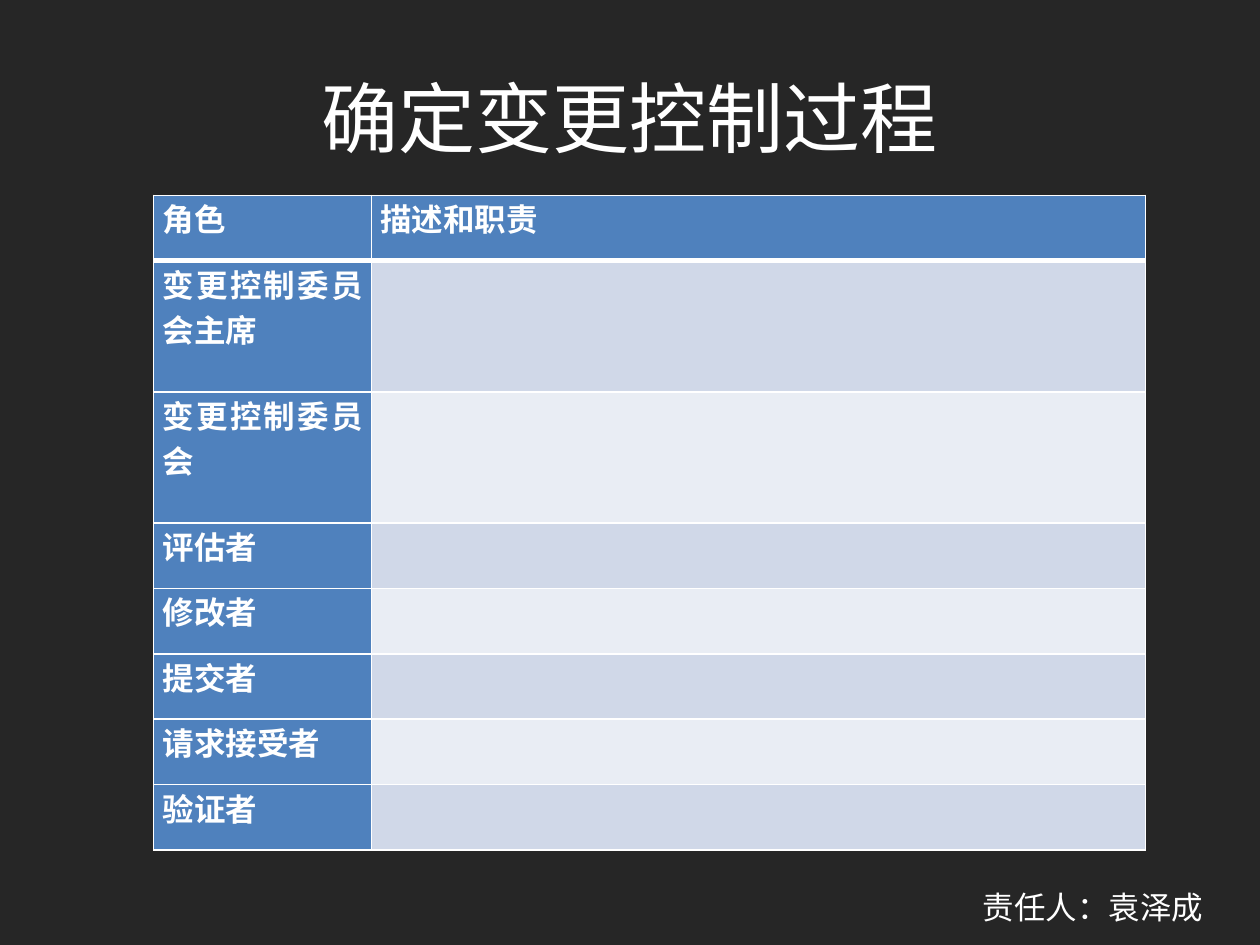
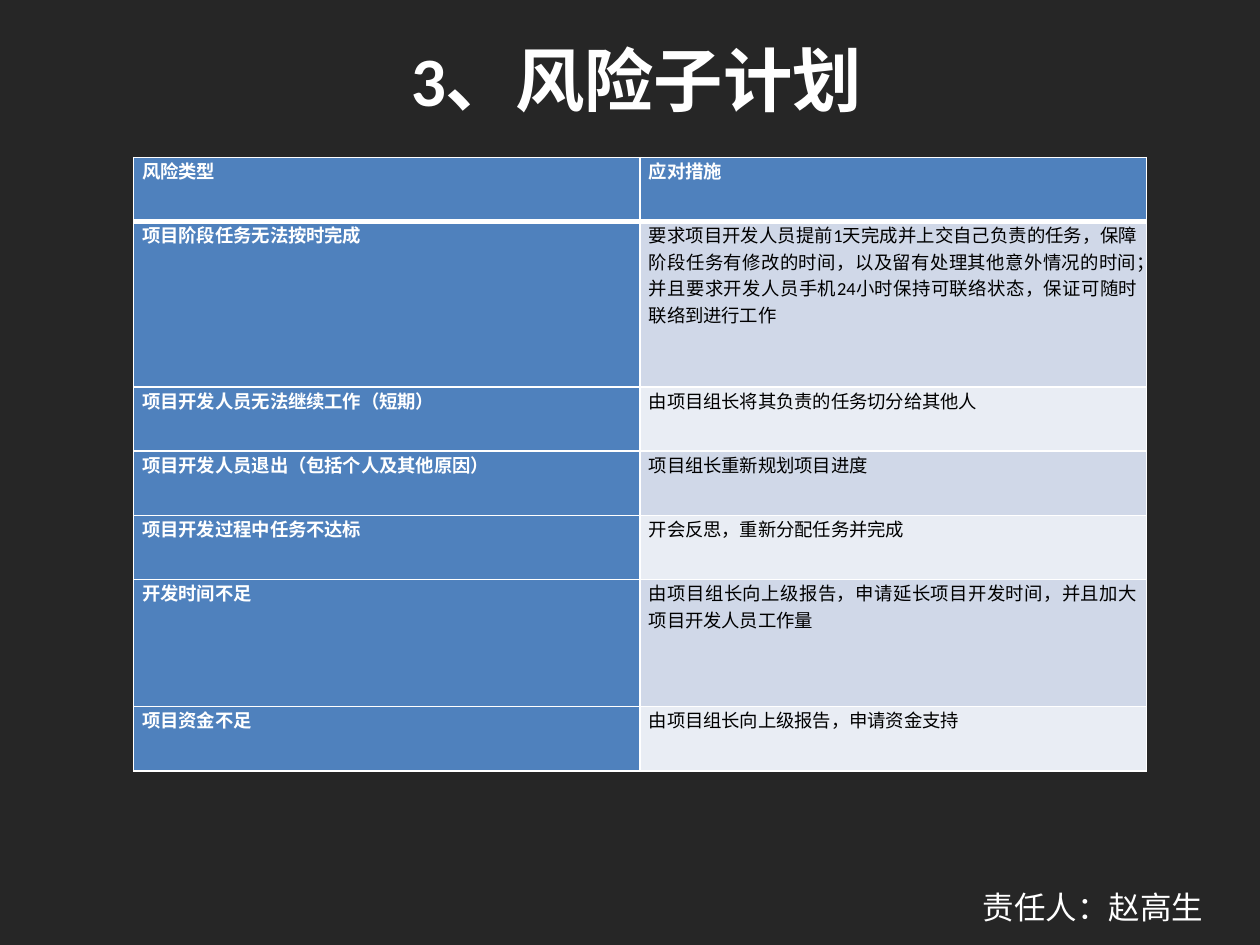
from dataclasses import dataclass

from lxml import etree
from pptx import Presentation
from pptx import util as u
from pptx.dml import color
from pptx.enum import text
from pptx.oxml import ns

FONT = "Calibri"
COLORS = {
    "background": "262626",
    "white": "FFFFFF",
    "black": "000000",
    "heading": "4F81BD",
    "odd_band": "D0D8E8",
    "even_band": "E9EDF4",
}
THIN, THICK = 1, 3


@dataclass(frozen=True)
class Title:
    wording: str
    left: float
    top: float
    size: float
    bold: bool = False


@dataclass(frozen=True)
class Grid:
    left: float
    top: float
    columns: tuple[float, ...]
    heights: tuple[float, ...]
    size: float
    rows: tuple[tuple[str, str], ...]


@dataclass(frozen=True)
class Page:
    title: Title
    grid: Grid
    owner: str


PAGES = (
    Page(
        Title("确定变更控制过程", 0.5, 0.3, 44),
        Grid(
            1.22, 1.55, (1.73, 6.14), (0.52, 1.04, 1.04) + (0.52,) * 5, 18,
            (
                ("角色", "描述和职责"),
                ("变更控制委员会主席", ""),
                ("变更控制委员会", ""),
                ("评估者", ""),
                ("修改者", ""),
                ("提交者", ""),
                ("请求接受者", ""),
                ("验证者", ""),
            ),
        ),
        "袁泽成",
    ),
    Page(
        Title("3、风险子计划", 0.55, 0, 39.6, bold=True),
        Grid(
            1.06, 1.25, (4.02, 4.02), (0.51, 1.31, 0.51, 0.51, 0.51, 1.01, 0.51), 10.5,
            (
                ("风险类型", "应对措施"),
                ("项目阶段任务无法按时完成",
                 "要求项目开发人员提前1天完成并上交自己负责的任务，保障阶段任务有修改的时间，"
                 "以及留有处理其他意外情况的时间；\n"
                 "并且要求开发人员手机24小时保持可联络状态，保证可随时联络到进行工作"),
                ("项目开发人员无法继续工作（短期）", "由项目组长将其负责的任务切分给其他人"),
                ("项目开发人员退出（包括个人及其他原因）", "项目组长重新规划项目进度"),
                ("项目开发过程中任务不达标", "开会反思，重新分配任务并完成"),
                ("开发时间不足",
                 "由项目组长向上级报告，申请延长项目开发时间，并且加大项目开发人员工作量"),
                ("项目资金不足", "由项目组长向上级报告，申请资金支持"),
            ),
        ),
        "赵高生",
    ),
)


def rgb(name: str) -> color.RGBColor:
    return color.RGBColor.from_string(COLORS[name])


def write(frame, wording: str, size: float, ink: str = "white",
          bold: bool = False, align=text.PP_ALIGN.LEFT) -> None:
    frame.text = wording
    for para in frame.paragraphs:
        para.alignment = align
        for span in para.runs:
            span.font.name = FONT
            span.font.size = u.Pt(size)
            span.font.bold = bold
            span.font.color.rgb = rgb(ink)


def add_box(slide, left: float, top: float, width: float, height: float):
    box = slide.shapes.add_textbox(*map(u.Inches, (left, top, width, height)))
    box.text_frame.word_wrap = True
    return box.text_frame


def add_title(slide, title: Title) -> None:
    frame = add_box(slide, title.left, title.top, 9, 1.25)
    frame.vertical_anchor = text.MSO_ANCHOR.MIDDLE
    write(frame, title.wording, title.size, bold=title.bold, align=text.PP_ALIGN.CENTER)


def set_borders(cell, top: float, bottom: float) -> None:
    """Draw white cell edges; must run before the cell is filled."""
    properties = cell._tc.get_or_add_tcPr()
    for side, width in (("L", THIN), ("R", THIN), ("T", top), ("B", bottom)):
        line = etree.SubElement(properties, ns.qn(f"a:ln{side}"), w=str(u.Pt(width)))
        fill = etree.SubElement(line, ns.qn("a:solidFill"))
        etree.SubElement(fill, ns.qn("a:srgbClr"), val=COLORS["white"])


def style_cell(cell, row: int, column: int, wording: str, size: float) -> None:
    is_heading = row == 0 or column == 0
    set_borders(cell, THICK if row == 1 else THIN, THICK if row == 0 else THIN)
    band = "odd_band" if row % 2 else "even_band"
    cell.fill.solid()
    cell.fill.fore_color.rgb = rgb("heading" if is_heading else band)
    if wording:
        cell.margin_left = cell.margin_right = u.Inches(0.07)
        cell.margin_top = cell.margin_bottom = 0
        write(cell.text_frame, wording, size, "white" if is_heading else "black",
              is_heading, text.PP_ALIGN.JUSTIFY)


def add_grid(slide, grid: Grid) -> None:
    bounds = (grid.left, grid.top, sum(grid.columns), sum(grid.heights))
    table = slide.shapes.add_table(
        len(grid.rows), len(grid.columns), *map(u.Inches, bounds)).table
    for column, width in zip(table.columns, grid.columns):
        column.width = u.Inches(width)
    for row, height in zip(table.rows, grid.heights):
        row.height = u.Inches(height)
    for row, wordings in enumerate(grid.rows):
        for column, wording in enumerate(wordings):
            style_cell(table.cell(row, column), row, column, wording, grid.size)


def add_page(deck, page: Page) -> None:
    slide = deck.slides.add_slide(deck.slide_layouts[6])
    slide.background.fill.solid()
    slide.background.fill.fore_color.rgb = rgb("background")
    add_title(slide, page.title)
    add_grid(slide, page.grid)
    write(add_box(slide, 7.7, 7, 2.3, 0.4), f"责任人：{page.owner}", 18)


def main() -> None:
    deck = Presentation()
    deck.slide_width, deck.slide_height = u.Inches(10), u.Inches(7.5)
    for page in PAGES:
        add_page(deck, page)
    deck.save("out.pptx")


if __name__ == "__main__":
    main()
